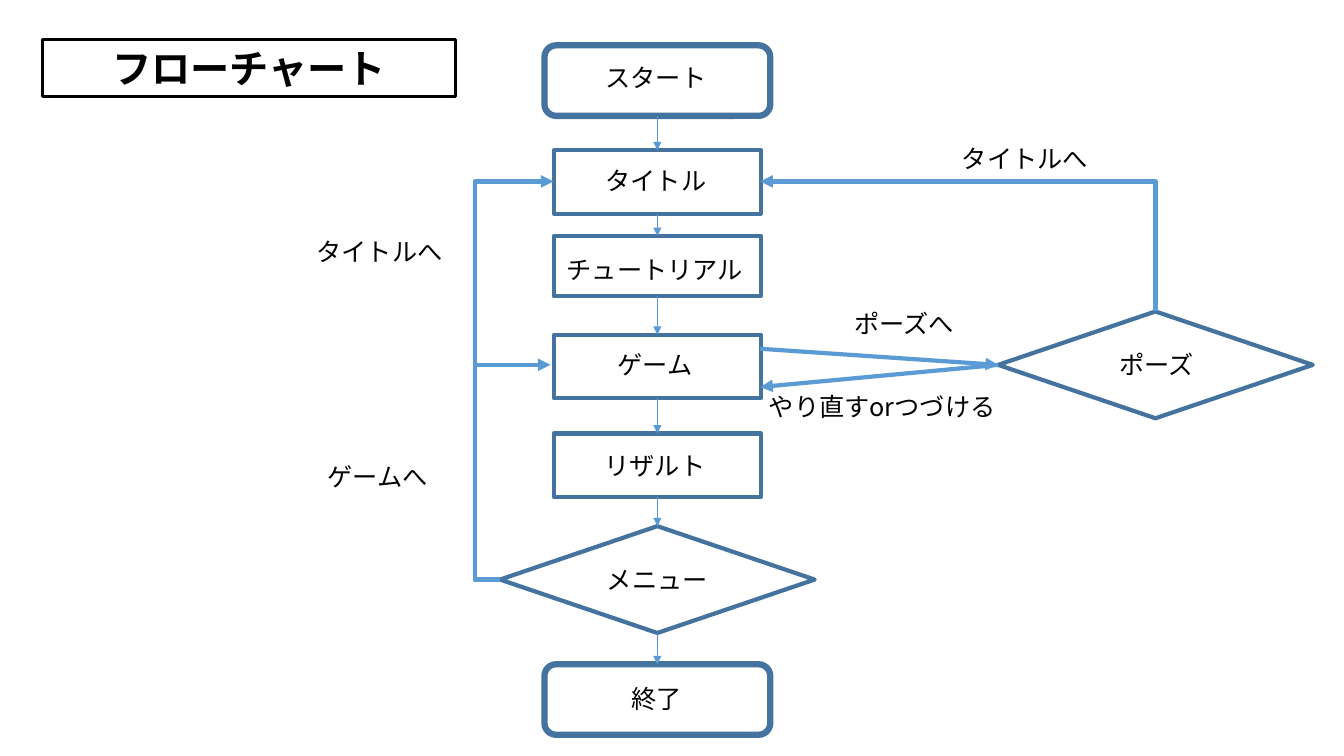
from pptx import Presentation
from pptx.dml.color import RGBColor
from pptx.enum.lang import MSO_LANGUAGE_ID
from pptx.enum.shapes import MSO_CONNECTOR, MSO_SHAPE
from pptx.enum.text import MSO_ANCHOR, MSO_AUTO_SIZE, PP_ALIGN
from pptx.oxml.ns import qn
from pptx.util import Inches, Pt
from lxml.etree import SubElement

BLACK = RGBColor(0x00, 0x00, 0x00)
BORDER = RGBColor(0x43, 0x73, 0x9E)
ARROW = RGBColor(0x5B, 0x9B, 0xD5)
FONT = "Noto Sans CJK JP"


class FlowSlide:
    def __init__(self, prs):
        self.s = prs.slides.add_slide(prs.slide_layouts[6])

    def add_text(self, shape, text, size, bold=False):
        tf = shape.text_frame
        tf.word_wrap = True
        tf.auto_size = MSO_AUTO_SIZE.SHAPE_TO_FIT_TEXT
        p = tf.paragraphs[0]
        p.alignment = PP_ALIGN.CENTER
        r = p.add_run()
        r.text = text
        r.font.name = FONT
        r.font.size = Pt(size)
        r.font.bold = bold
        r.font.color.rgb = BLACK
        r.font.language_id = MSO_LANGUAGE_ID.JAPANESE
        SubElement(r.font._element, qn("a:ea")).set("typeface", FONT)

    def box(self, kind, x, y, w, h, color=BORDER, width=3):
        sp = self.s.shapes.add_shape(kind, Inches(x), Inches(y), Inches(w), Inches(h))
        sp.shadow.inherit = False
        sp.fill.background()
        sp.line.color.rgb = color
        sp.line.width = Pt(width)
        return sp

    def title(self, text, x, y, w, h):
        sp = self.box(MSO_SHAPE.RECTANGLE, x, y, w, h, BLACK, 2.25)
        sp.text_frame.vertical_anchor = MSO_ANCHOR.MIDDLE
        self.add_text(sp, text, 28, True)

    def label(self, text, x, y, w):
        sp = self.s.shapes.add_textbox(Inches(x), Inches(y), Inches(w), Inches(0.4))
        self.add_text(sp, text, 18)

    def arrow(self, x1, y1, x2, y2, width=3, kind=MSO_CONNECTOR.STRAIGHT, end="a:tailEnd"):
        c = self.s.shapes.add_connector(kind, Inches(x1), Inches(y1), Inches(x2), Inches(y2))
        c.line.color.rgb = ARROW
        c.line.width = Pt(width)
        spPr = c._element.spPr
        SubElement(spPr.find(qn("a:ln")), qn(end)).set("type", "triangle")
        SubElement(spPr, qn("a:effectLst"))
        return spPr.find(qn("a:prstGeom"))

    def loop(self, x1, y1, x2, y2, via_x):
        geom = self.arrow(x1, y1, x2, y2, kind=MSO_CONNECTOR.ELBOW)
        gd = SubElement(geom.find(qn("a:avLst")), qn("a:gd"))
        gd.set("name", "adj1")
        gd.set("fmla", f"val {round((via_x - x1) / (x2 - x1) * 100000)}")

    def corner(self, x1, y1, x2, y2):
        geom = self.arrow(x1, y1, x2, y2, kind=MSO_CONNECTOR.ELBOW, end="a:headEnd")
        geom.set("prst", "bentConnector2")


prs = Presentation()
prs.slide_width = Inches(13.33)
prs.slide_height = Inches(7.5)
flow = FlowSlide(prs)

CENTER = 6.52
TERMINAL = (MSO_SHAPE.FLOWCHART_ALTERNATE_PROCESS, 2.24, 4.5)
PROCESS = (MSO_SHAPE.FLOWCHART_PROCESS, 2.05, 3)
DECISION = (MSO_SHAPE.FLOWCHART_DECISION, 3.12, 3)
steps = [
    (TERMINAL, 0.45, 0.7, "スタート", 5.75, 0.57, 1.51),
    (PROCESS, 1.49, 0.63, "タイトル", 5.75, 1.59, 1.51),
    (PROCESS, 2.34, 0.6, "チュートリアル", 5.46, 2.47, 2.07),
    (PROCESS, 3.32, 0.63, "ゲーム", 5.46, 3.42, 2.07),
    (PROCESS, 4.3, 0.63, "リザルト", 5.56, 4.42, 1.87),
    (DECISION, 5.22, 1.06, "メニュー", 5.85, 5.55, 1.34),
    (TERMINAL, 6.59, 0.7, "終了", 5.76, 6.73, 1.51),
]

flow.title("フローチャート", 0.42, 0.39, 4.1, 0.57)
for (kind, w, width), y, h, text, tx, ty, tw in steps:
    flow.box(kind, CENTER - w / 2, y, w, h, width=width)
    flow.label(text, tx, ty, tw)
for upper, lower in zip(steps, steps[1:]):
    flow.arrow(CENTER, upper[1] + upper[2], CENTER, lower[1], 0.5)

flow.box(MSO_SHAPE.FLOWCHART_DECISION, 9.9, 3.09, 3.12, 1.06)
flow.label("ポーズ", 10.8, 3.42, 1.34)

flow.loop(4.96, 5.75, 5.46, 3.62, 4.71)
flow.loop(4.96, 5.75, 5.49, 1.8, 4.71)
flow.arrow(7.54, 3.46, 9.9, 3.62)
flow.arrow(9.9, 3.62, 7.54, 3.84)
flow.corner(7.54, 1.8, 11.46, 3.09)

for text, x, y, w in [
    ("ゲームへ", 2.81, 4.53, 1.87),
    ("タイトルへ", 2.83, 2.3, 1.87),
    ("ポーズへ", 8.03, 3.01, 1.87),
    ("やり直すorつづける", 7.5, 3.83, 2.5),
    ("タイトルへ", 9.23, 1.37, 1.87),
]:
    flow.label(text, x, y, w)

prs.save("out.pptx")
